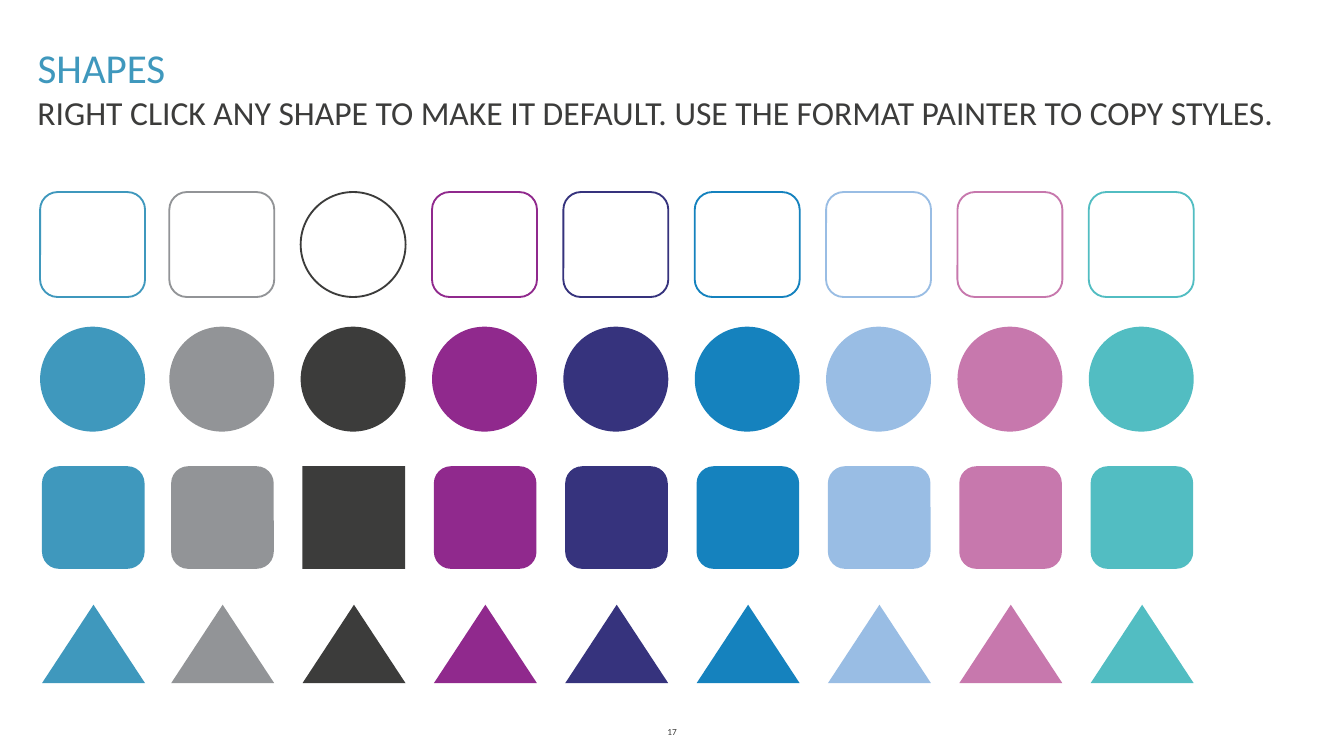
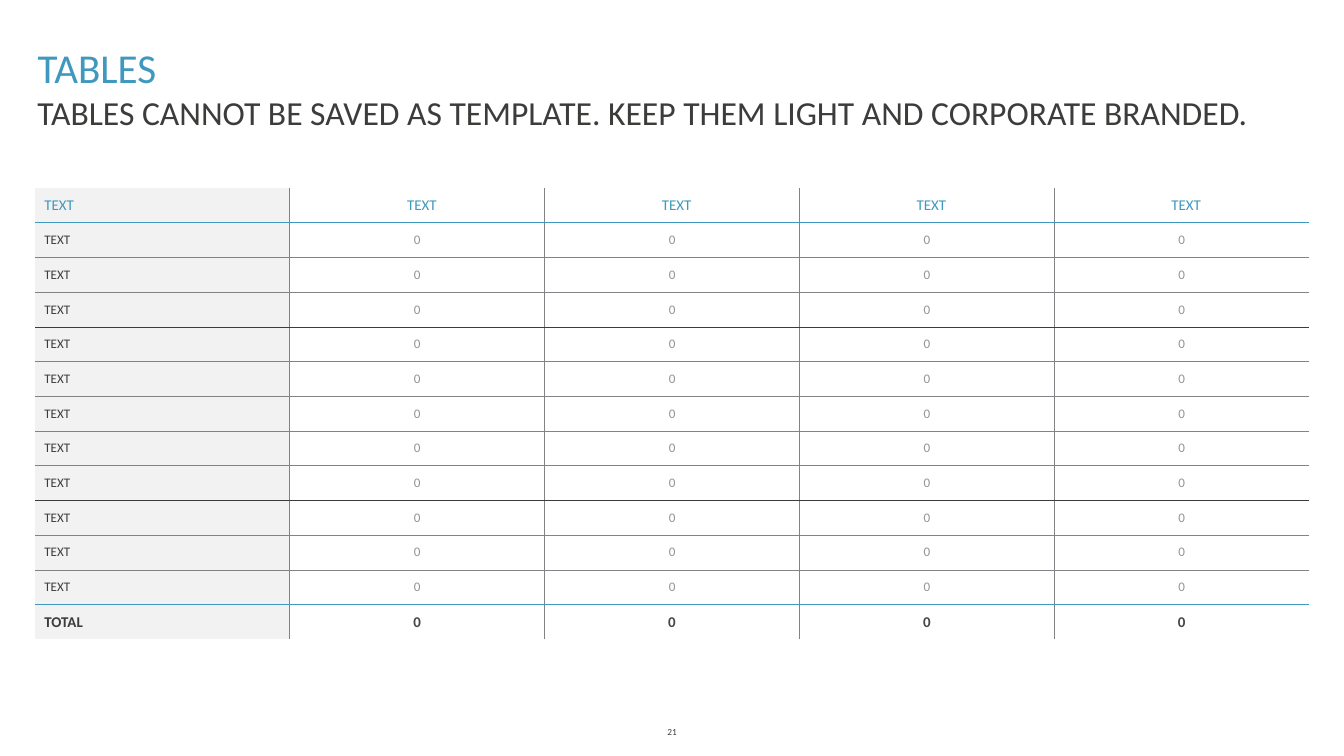
from lxml import etree
from pptx import Presentation
from pptx.dml.color import RGBColor
from pptx.enum.shapes import MSO_SHAPE
from pptx.enum.text import MSO_ANCHOR, MSO_AUTO_SIZE, PP_ALIGN
from pptx.oxml.ns import qn
from pptx.util import Pt

ROUNDED, SQUARE = MSO_SHAPE.ROUNDED_RECTANGLE, MSO_SHAPE.RECTANGLE
CIRCLE, TRIANGLE = MSO_SHAPE.OVAL, MSO_SHAPE.ISOSCELES_TRIANGLE
LEFT, CENTER = PP_ALIGN.LEFT, PP_ALIGN.CENTER
TOP, MIDDLE, BOTTOM = MSO_ANCHOR.TOP, MSO_ANCHOR.MIDDLE, MSO_ANCHOR.BOTTOM
GROW = MSO_AUTO_SIZE.SHAPE_TO_FIT_TEXT

FONT = "Calibri"
BLUE = RGBColor(0x3F, 0x98, 0xBD)
GRAY = RGBColor(0x92, 0x94, 0x97)
DARK = RGBColor(0x3C, 0x3C, 0x3B)
PURPLE = RGBColor(0x90, 0x29, 0x8D)
NAVY = RGBColor(0x36, 0x33, 0x7D)
STRONG_BLUE = RGBColor(0x15, 0x82, 0xBE)
LIGHT_BLUE = RGBColor(0x99, 0xBD, 0xE4)
PINK = RGBColor(0xC7, 0x78, 0xAD)
TEAL = RGBColor(0x52, 0xBD, 0xC2)
RULE_GRAY = RGBColor(0x81, 0x83, 0x86)
TOTAL_GRAY = RGBColor(0x46, 0x47, 0x49)
PALE = RGBColor(0xF2, 0xF2, 0xF2)
PALETTE = [BLUE, GRAY, DARK, PURPLE, NAVY, STRONG_BLUE, LIGHT_BLUE, PINK, TEAL]

TABLE_ROWS, TABLE_COLUMNS = 13, 5
RULE_COLORS = {1: BLUE, 4: DARK, 9: DARK, 12: BLUE}


class TemplateDeck:
    def __init__(self):
        self.deck = Presentation()
        self.deck.slide_width, self.deck.slide_height = Pt(720), Pt(405)
        self.page = None

    def add_page(self, title, subtitle, number):
        self.page = self.deck.slides.add_slide(self.deck.slide_layouts[5])
        heading = self.page.shapes.title
        heading.left, heading.top, heading.width, heading.height = Pt(13), Pt(18.7), Pt(689), Pt(33.8)
        self.fill_text(heading, title, 22, BLUE, LEFT, BOTTOM)
        self.add_text(subtitle, 13, 45.7, 689, 51, 18, LEFT, TOP)
        self.add_text(number, 326, 385.2, 68, 13.7, 5, CENTER, MIDDLE)

    def add_text(self, text, left, top, width, height, size, align, anchor):
        box = self.page.shapes.add_textbox(Pt(left), Pt(top), Pt(width), Pt(height))
        self.fill_text(box, text, size, DARK, align, anchor)

    def fill_text(self, box, text, size, color, align, anchor):
        frame = box.text_frame
        frame.word_wrap = True
        frame.auto_size = GROW
        frame.vertical_anchor = anchor
        self.add_span(frame.paragraphs[0], text, size, color, align)

    def add_span(self, para, text, size, color, align, bold=False):
        para.alignment = align
        span = para.add_run()
        span.text = text
        span.font.name, span.font.size, span.font.bold = FONT, Pt(size), bold
        span.font.color.rgb = color

    def add_swatch(self, kind, left, top, width, height, color, outlined):
        swatch = self.page.shapes.add_shape(kind, Pt(left), Pt(top), Pt(width), Pt(height))
        swatch.shadow.inherit = False
        if outlined:
            swatch.fill.background()
            swatch.line.color.rgb = color
            swatch.line.width = Pt(1)
        else:
            swatch.fill.solid()
            swatch.fill.fore_color.rgb = color
            swatch.line.fill.background()

    def add_grid(self, rows, columns, left, top, column_width, row_height):
        frame = self.page.shapes.add_table(rows, columns, Pt(left), Pt(top),
                                           Pt(column_width * columns), Pt(row_height * rows))
        table = frame.table
        table.first_row = table.horz_banding = False
        for column in table.columns:
            column.width = Pt(column_width)
        for row in table.rows:
            row.height = Pt(row_height)
        return table

    def format_cell(self, cell, indent, fill, borders):
        """Set margins, fill and the left, right, top and bottom borders (None hides one)."""
        cell.vertical_anchor = MIDDLE
        cell.margin_left, cell.margin_right = Pt(indent), Pt(0)
        cell.margin_top = cell.margin_bottom = Pt(2)
        properties = cell._tc.get_or_add_tcPr()
        for side, color in zip("LRTB", borders):
            line = etree.SubElement(properties, qn(f"a:ln{side}"), w=str(Pt(0.5)))
            if color is None:
                etree.SubElement(line, qn("a:noFill"))
            else:
                solid = etree.SubElement(line, qn("a:solidFill"))
                etree.SubElement(solid, qn("a:srgbClr"), val=str(color))
        if fill is None:
            cell.fill.background()
        else:
            cell.fill.solid()
            cell.fill.fore_color.rgb = fill


def column_rule(index):
    if index in (0, TABLE_COLUMNS):
        return None
    return BLUE if index == 1 else RULE_GRAY


def row_rule(index):
    if index in (0, TABLE_ROWS):
        return None
    return RULE_COLORS.get(index, RULE_GRAY)


def build_shapes(deck):
    deck.add_page("SHAPES", "RIGHT CLICK ANY SHAPE TO MAKE IT DEFAULT. "
                  "USE THE FORMAT PAINTER TO COPY STYLES.", "17")
    # kind, kind in the dark column, inset, top, width, height, outlined
    swatch_rows = [
        (ROUNDED, CIRCLE, 0, 102.9, 56.2, 56.2, True),
        (CIRCLE, CIRCLE, 0, 175, 56.2, 56.2, False),
        (ROUNDED, SQUARE, 1, 249.8, 55, 55, False),
        (TRIANGLE, TRIANGLE, 1, 324, 55.2, 42, False),
    ]
    lefts = [21.5] + [90.7 + 70.37 * step for step in range(len(PALETTE) - 1)]
    for kind, dark_kind, inset, top, width, height, outlined in swatch_rows:
        for left, color in zip(lefts, PALETTE):
            deck.add_swatch(dark_kind if color == DARK else kind, left + inset, top,
                            width, height, color, outlined)


def build_table(deck):
    deck.add_page("TABLES", "TABLES CANNOT BE SAVED AS TEMPLATE. "
                  "KEEP THEM LIGHT AND CORPORATE BRANDED.", "21")
    table = deck.add_grid(TABLE_ROWS, TABLE_COLUMNS, 18.8, 100.8, 136.5, 18.62)
    for row in range(TABLE_ROWS):
        header, total = row == 0, row == TABLE_ROWS - 1
        for column in range(TABLE_COLUMNS):
            label = column == 0
            cell = table.cell(row, column)
            borders = (column_rule(column), column_rule(column + 1), row_rule(row), row_rule(row + 1))
            deck.format_cell(cell, 5 if header or label else 0, PALE if label else None, borders)
            if header:
                text, color = "TEXT", BLUE
            elif label:
                text, color = "TOTAL" if total else "TEXT", DARK
            else:
                text, color = "0", TOTAL_GRAY if total else GRAY
            deck.add_span(cell.text_frame.paragraphs[0], text, 8 if header or total else 7,
                          color, LEFT if label else CENTER, total)


def main():
    deck = TemplateDeck()
    build_shapes(deck)
    build_table(deck)
    deck.deck.save("out.pptx")


if __name__ == "__main__":
    main()
